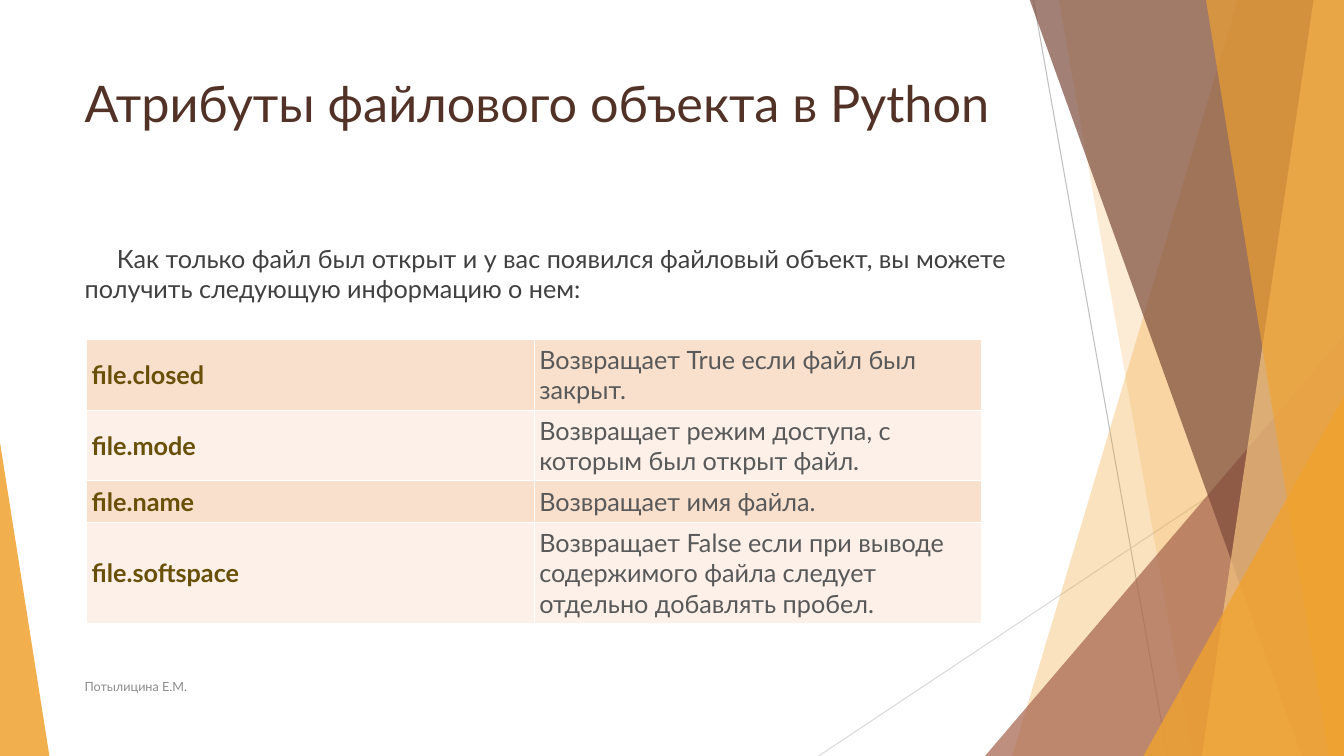
from dataclasses import dataclass

from lxml.etree import SubElement
from pptx import Presentation
from pptx.dml.color import RGBColor
from pptx.enum.shapes import MSO_CONNECTOR, MSO_SHAPE
from pptx.enum.text import MSO_ANCHOR, MSO_AUTO_SIZE, PP_ALIGN
from pptx.oxml.ns import qn
from pptx.util import Inches, Pt

TITLE = "Атрибуты файлового объекта в Python"
INTRO = ("Как только файл был открыт и у вас появился файловый объект, "
         "вы можете получить следующую информацию о нем:")
AUTHOR = "Потылицина Е.М."
# attribute, meaning, row height
ATTRIBUTES = [
    ("file.closed", "Возвращает True если файл был закрыт.", 0.7),
    ("file.mode", "Возвращает режим доступа, с которым был открыт файл.", 0.7),
    ("file.name", "Возвращает имя файла.", 0.41),
    ("file.softspace", "Возвращает False если при выводе содержимого файла "
                       "следует отдельно добавлять пробел.", 1.01),
]


@dataclass(frozen=True)
class Theme:
    font: str = "Lato"
    title_size: int = 36
    text_size: int = 18
    footer_size: int = 9
    title: str = "523227"
    body: str = "404040"
    footer: str = "8C8C8C"
    attribute: str = "695008"
    meaning: str = "595959"
    stripes: tuple = ("F9E0CD", "FCF0E8")
    border: str = "FFFFFF"
    orange: str = "F0A22E"
    sand: str = "F6C782"
    rust: str = "A5644E"
    brown: str = "7C4B3B"


THEME = Theme()
WIDTH, HEIGHT = 13.33, 7.5
BAND_TOP = -0.01
TEXT_LEFT, TEXT_WIDTH = 0.74, 9.4
TABLE_LEFT, TABLE_TOP, COLUMN_WIDTH = 0.86, 3.37, 4.44

# start x, start y, end x, end y, colour
RAYS = [(10.25, 0, 11.58, HEIGHT, "BFBFBF"), (WIDTH, 4.03, 8.12, HEIGHT, "D9D9D9")]
# Back to front. Band: top x, bottom x. Wedge: left, top, width, apex (0 left, 1 right).
DECOR = [
    ("band", (12.28, 10.04), THEME.orange, 30),
    ("band", (10.5, 11.83), THEME.orange, 20),
    ("wedge", (9.77, 3.33, 3.56, 1), THEME.rust, 72),
    ("band", (10.21, 12.91), THEME.brown, 70),
    ("band", (13.03, 11.92), THEME.sand, 70),
    ("band", (11.96, 13.18), THEME.orange, 65),
    ("wedge", (11.34, 3.93, 1.99, 1), THEME.orange, 80),
    ("wedge", (0, 4.39, 0.49, 0), THEME.orange, 85),
]


def rgb(value):
    return RGBColor.from_string(value)


def box_at(box, left, top, width, height):
    box.left, box.top = Inches(left), Inches(top)
    box.width, box.height = Inches(width), Inches(height)


def write(frame, text, size, color, anchor=MSO_ANCHOR.TOP, bold=False):
    frame.text = text
    frame.word_wrap = True
    frame.vertical_anchor = anchor
    para = frame.paragraphs[0]
    para.alignment = PP_ALIGN.LEFT
    para.font.name, para.font.size, para.font.bold = THEME.font, Pt(size), bold
    para.font.color.rgb = rgb(color)
    return para


def add_ray(shapes, x1, y1, x2, y2, color):
    ray = shapes.add_connector(MSO_CONNECTOR.STRAIGHT, Inches(x1), Inches(y1),
                               Inches(x2), Inches(y2))
    ray.line.color.rgb = rgb(color)
    ray.line.width = Pt(0.75)
    SubElement(ray._element.spPr, qn("a:effectLst"))


def add_band(shapes, top_x, bottom_x):
    """Four-sided band that reaches the right edge of the slide."""
    corners = [(Inches(x), Inches(y)) for x, y in (
        (top_x, BAND_TOP), (WIDTH, BAND_TOP), (WIDTH, HEIGHT), (bottom_x, HEIGHT))]
    builder = shapes.build_freeform(*corners[0])
    builder.add_line_segments(corners[1:], close=True)
    return builder.convert_to_shape()


def add_wedge(shapes, left, top, width, apex):
    """Right triangle that stands on the bottom edge of the slide."""
    wedge = shapes.add_shape(MSO_SHAPE.ISOSCELES_TRIANGLE, Inches(left), Inches(top),
                             Inches(width), Inches(HEIGHT - top))
    wedge.adjustments[0] = apex
    return wedge


def add_decor(slide):
    group = slide.shapes.add_group_shape()
    for ray in RAYS:
        add_ray(group.shapes, *ray)
    makers = {"band": add_band, "wedge": add_wedge}
    for kind, geometry, color, opacity in DECOR:
        piece = makers[kind](group.shapes, *geometry)
        piece.shadow.inherit = False
        piece.line.fill.background()
        piece.fill.solid()
        piece.fill.fore_color.rgb = rgb(color)
        color_node = piece._element.spPr.find(qn("a:solidFill"))[0]
        SubElement(color_node, qn("a:alpha"), val=str(opacity * 1000))
    slide.shapes._spTree.insert(2, group._element)  # behind the placeholders


def add_texts(slide):
    title, body = slide.placeholders
    box_at(title, TEXT_LEFT, 0.67, TEXT_WIDTH, 1.44)
    write(title.text_frame, TITLE, THEME.title_size, THEME.title)
    box_at(body, TEXT_LEFT, 2.36, TEXT_WIDTH, 4.24)
    para = write(body.text_frame, INTRO, THEME.text_size, THEME.body)
    para.space_before = Pt(10)
    properties = para._p.get_or_add_pPr()
    properties.set("marL", "0")
    properties.set("indent", str(Inches(0.32)))
    SubElement(properties, qn("a:buNone"))
    properties.append(properties.find(qn("a:defRPr")))
    for box in (title, body):
        box.text_frame.auto_size = MSO_AUTO_SIZE.NONE
    footer = slide.shapes.add_textbox(Inches(TEXT_LEFT), Inches(6.61),
                                      Inches(6.89), Inches(0.4))
    write(footer.text_frame, AUTHOR, THEME.footer_size, THEME.footer, MSO_ANCHOR.MIDDLE)


def style_cell(cell, fill):
    cell.margin_left = cell.margin_right = Inches(0.05)
    cell.margin_top = cell.margin_bottom = Inches(0.05)
    properties = cell._tc.get_or_add_tcPr()
    for side in ("a:lnL", "a:lnR", "a:lnT", "a:lnB"):
        line = SubElement(properties, qn(side), w=str(Pt(1)))
        SubElement(SubElement(line, qn("a:solidFill")), qn("a:srgbClr"), val=THEME.border)
    cell.fill.solid()
    cell.fill.fore_color.rgb = rgb(fill)


def add_attributes(slide):
    total = sum(height for _, _, height in ATTRIBUTES)
    table = slide.shapes.add_table(len(ATTRIBUTES), 2, Inches(TABLE_LEFT), Inches(TABLE_TOP),
                                   Inches(2 * COLUMN_WIDTH), Inches(total)).table
    table.first_row = False
    for column in table.columns:
        column.width = Inches(COLUMN_WIDTH)
    for index, (attribute, meaning, height) in enumerate(ATTRIBUTES):
        table.rows[index].height = Inches(height)
        name_cell, meaning_cell = table.rows[index].cells
        for cell, text, color, bold in ((name_cell, attribute, THEME.attribute, True),
                                        (meaning_cell, meaning, THEME.meaning, False)):
            style_cell(cell, THEME.stripes[index % 2])
            write(cell.text_frame, text, THEME.text_size, color, bold=bold)
            cell.vertical_anchor = MSO_ANCHOR.MIDDLE


def main():
    deck = Presentation()
    deck.slide_width, deck.slide_height = Inches(WIDTH), Inches(HEIGHT)
    slide = deck.slides.add_slide(deck.slide_layouts[1])
    add_texts(slide)
    add_decor(slide)
    add_attributes(slide)
    deck.save("out.pptx")


if __name__ == "__main__":
    main()
